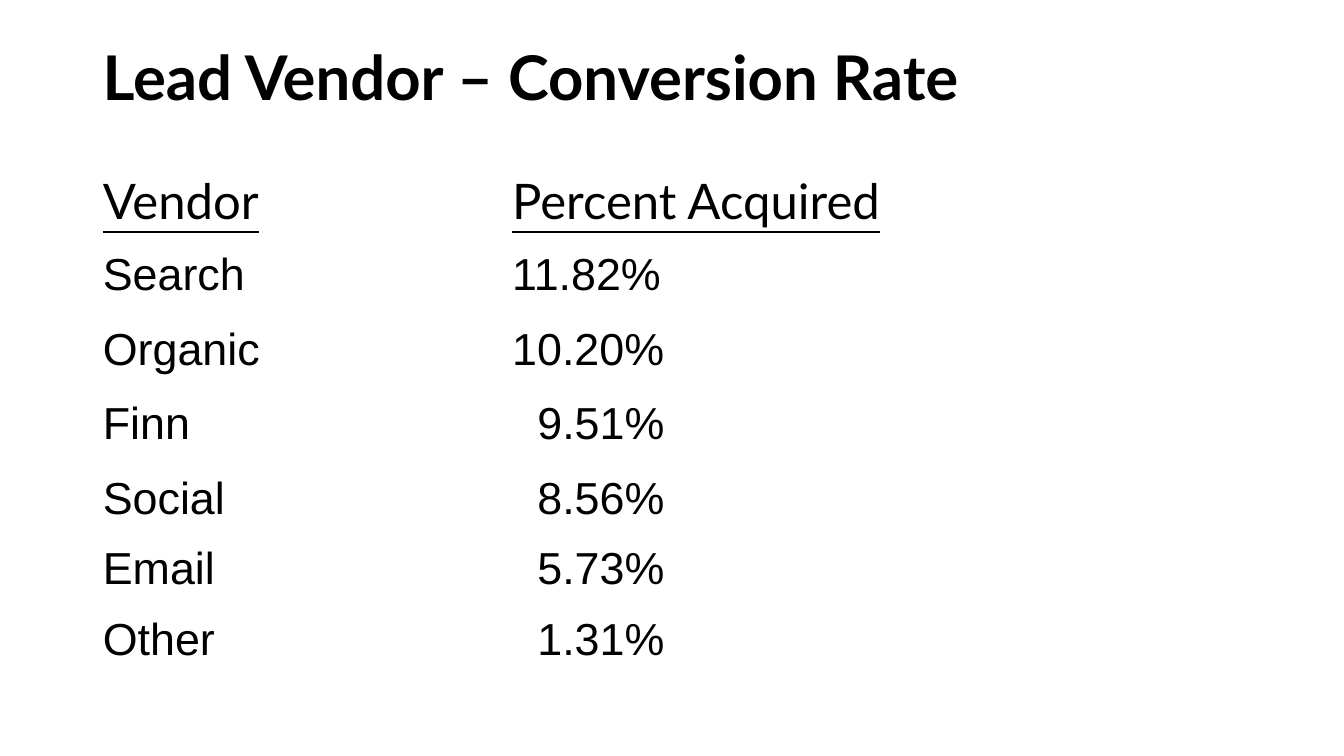
from pptx import Presentation
from pptx.dml.color import RGBColor
from pptx.enum.text import MSO_ANCHOR
from pptx.util import Inches, Pt

BLACK = RGBColor(0, 0, 0)
LEFT = Inches(0.92)
COL = Inches(4.06)
PAD = Inches(0.1)
INDENT = Inches(0.25)
HEADS = ("Vendor", "Percent Acquired")
RATES = (
    ("Search", 11.82),
    ("Organic", 10.20),
    ("Finn", 9.51),
    ("Social", 8.56),
    ("Email", 5.73),
    ("Other", 1.31),
)
HEIGHTS = [0.78] + 3 * [0.74] + 3 * [0.7]


def style(para, name, size):
    para.font.name = name
    para.font.size = Pt(size)
    para.font.color.rgb = BLACK


deck = Presentation()
deck.slide_width, deck.slide_height = Inches(13.33), Inches(7.5)
slide = deck.slides.add_slide(deck.slide_layouts[6])

# Title
box = slide.shapes.add_textbox(LEFT, Inches(0.42), Inches(11.5), Inches(0.8))
frame = box.text_frame
frame.word_wrap = True
title = frame.paragraphs[0]
title.text = "Lead Vendor – Conversion Rate"
title.line_spacing = 0.9
style(title, "Lato", 44)
title.font.bold = True

# Table grid
table = slide.shapes.add_table(
    len(HEIGHTS), 2, LEFT, Inches(1.65), 2 * COL, Inches(sum(HEIGHTS))
).table
table.first_row = table.horz_banding = False
for col in table.columns:
    col.width = COL
for row, high in zip(table.rows, HEIGHTS):
    row.height = Inches(high)

# Table text, with one-digit rates set in to line up
lines = [HEADS] + [(name, f"{rate:.2f}%") for name, rate in RATES]
for r, line in enumerate(lines):
    for c, text in enumerate(line):
        cell = table.cell(r, c)
        cell.fill.background()
        cell.vertical_anchor = MSO_ANCHOR.TOP
        cell.text = text
        para = cell.text_frame.paragraphs[0]
        if r == 0:
            style(para, "Lato", 35)
            para.font.underline = True
        else:
            style(para, "Arial", 32)
            if c == 1 and RATES[r - 1][1] < 10:
                cell.margin_left = PAD + INDENT

deck.save("out.pptx")
